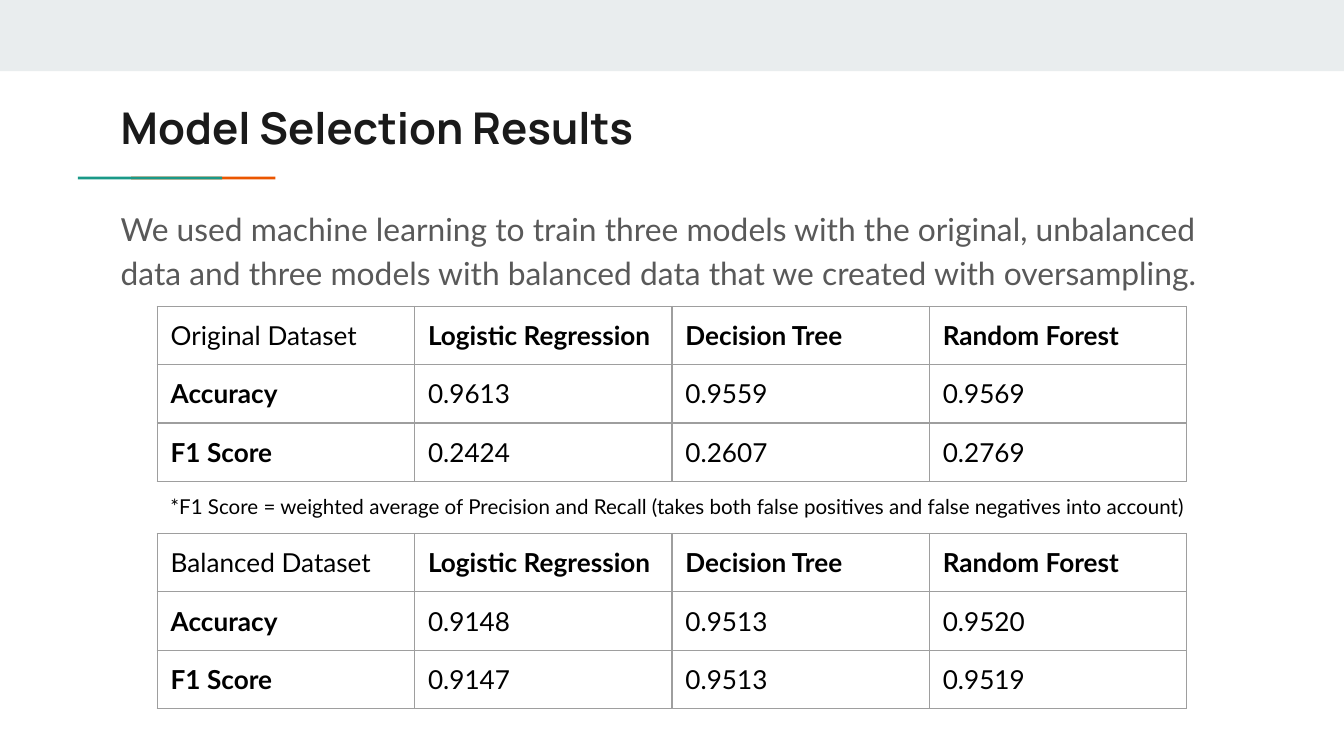
from collections import namedtuple

from lxml.etree import SubElement
from pptx import Presentation
from pptx.dml.color import RGBColor
from pptx.enum.shapes import MSO_SHAPE as Shape
from pptx.oxml.ns import qn
from pptx.util import Emu, Inches, Pt

COLUMNS, ROWS = 100, 56.25
UNIT = Inches(0.1)
PADDING = 1
INK, LINE = "000000", "9E9E9E"
MODELS = ["Logistic Regression", "Decision Tree", "Random Forest"]
Box = namedtuple("Box", "left top width height")


def grid(length):
    """Turn grid units into a length on the slide."""
    return Emu(round(length * UNIT))


def place(box):
    """Return the four lengths of a grid box."""
    return [grid(length) for length in box]


def color(value):
    """Turn a hex string into a colour."""
    return RGBColor.from_string(value)


def write(frame, text, size=14, font="Lato", ink=INK, bold=False, spacing=1, after=0):
    """Write one formatted paragraph in a text frame."""
    frame.word_wrap = True
    para = frame.paragraphs[0]
    para.line_spacing, para.space_after = spacing, Pt(after)
    span = para.add_run()
    span.text = text
    span.font.name, span.font.size, span.font.bold = font, Pt(size), bold
    span.font.color.rgb = color(ink)


def pad(target):
    """Give a cell or text frame equal margins."""
    target.margin_left = target.margin_right = grid(PADDING)
    target.margin_top = target.margin_bottom = grid(PADDING)


def add_text(page, box, text, **style):
    """Add a padded text box."""
    frame = page.shapes.add_textbox(*place(box)).text_frame
    pad(frame)
    write(frame, text, **style)


def add_bar(page, box, fill):
    """Add a plain filled rectangle."""
    bar = page.shapes.add_shape(Shape.RECTANGLE, *place(box))
    bar.shadow.inherit = False
    bar.fill.solid()
    bar.fill.fore_color.rgb = color(fill)
    bar.line.fill.background()


def add_accent(page, box):
    """Add the two overlapping strips below the title."""
    strip = box.width * 0.73
    right = box.left + box.width - strip
    add_bar(page, box._replace(left=right, width=strip), "EB5600")
    add_bar(page, box._replace(width=strip), "1A9988")


def add_borders(cell):
    """Draw thin lines on all four sides of a cell."""
    properties = cell._tc.get_or_add_tcPr()
    for position, side in enumerate(("lnL", "lnR", "lnT", "lnB")):
        line = properties.makeelement(qn(f"a:{side}"), {"w": str(Pt(0.75))})
        fill = SubElement(line, qn("a:solidFill"))
        SubElement(fill, qn("a:srgbClr"), val=LINE)
        properties.insert(position, line)


def add_scores(page, box, name, accuracy, f1_score):
    """Add the table of model scores for one dataset."""
    rows = [[name, *MODELS], ["Accuracy", *accuracy], ["F1 Score", *f1_score]]
    table = page.shapes.add_table(len(rows), len(rows[0]), *place(box)).table
    table.first_row = table.horz_banding = False
    for column in table.columns:
        column.width = grid(box.width / len(rows[0]))
    for i, values in enumerate(rows):
        table.rows[i].height = grid(box.height / len(rows))
        for j, value in enumerate(values):
            cell = table.cell(i, j)
            pad(cell)
            cell.fill.background()
            add_borders(cell)
            write(cell.text_frame, value, bold=(i == 0) != (j == 0))


def build_results(page, box):
    """Place all parts of the results slide in the given box."""
    add_bar(page, box._replace(height=5.3), "E9EDEE")
    add_accent(page, Box(box.left + 5.8, box.top + 13.15, 14.7, 0.2))
    text_left, table_left = box.left + 8, box.left + 11.7
    add_text(page, Box(text_left, box.top + 6.5, 84.1, 5.9),
             "Model Selection Results", size=23.4, font="Manrope",
             ink="1A1A1A", bold=True)
    add_text(page, Box(text_left, box.top + 14.2, 85.6, 13),
             "We used machine learning to train three models with the original, "
             "unbalanced data and three models with balanced data that we created "
             "with oversampling.", size=17, ink="595959", spacing=1.15, after=12)
    scores = Box(table_left, box.top + 22.8, 76.6, 12.95)
    add_scores(page, scores, "Original Dataset",
               ["0.9613", "0.9559", "0.9569"], ["0.2424", "0.2607", "0.2769"])
    add_scores(page, scores._replace(top=box.top + 39.7), "Balanced Dataset",
               ["0.9148", "0.9513", "0.9520"], ["0.9147", "0.9513", "0.9519"])
    add_text(page, Box(table_left, box.top + 35.8, 80.4, 3.9),
             "*F1 Score = weighted average of Precision and Recall (takes both "
             "false positives and false negatives into account)", size=11)


def main():
    """Build and save the deck."""
    deck = Presentation()
    deck.slide_width, deck.slide_height = grid(COLUMNS), grid(ROWS)
    page = deck.slides.add_slide(deck.slide_layouts[6])
    build_results(page, Box(0, 0, COLUMNS, ROWS))
    deck.save("out.pptx")


if __name__ == "__main__":
    main()
